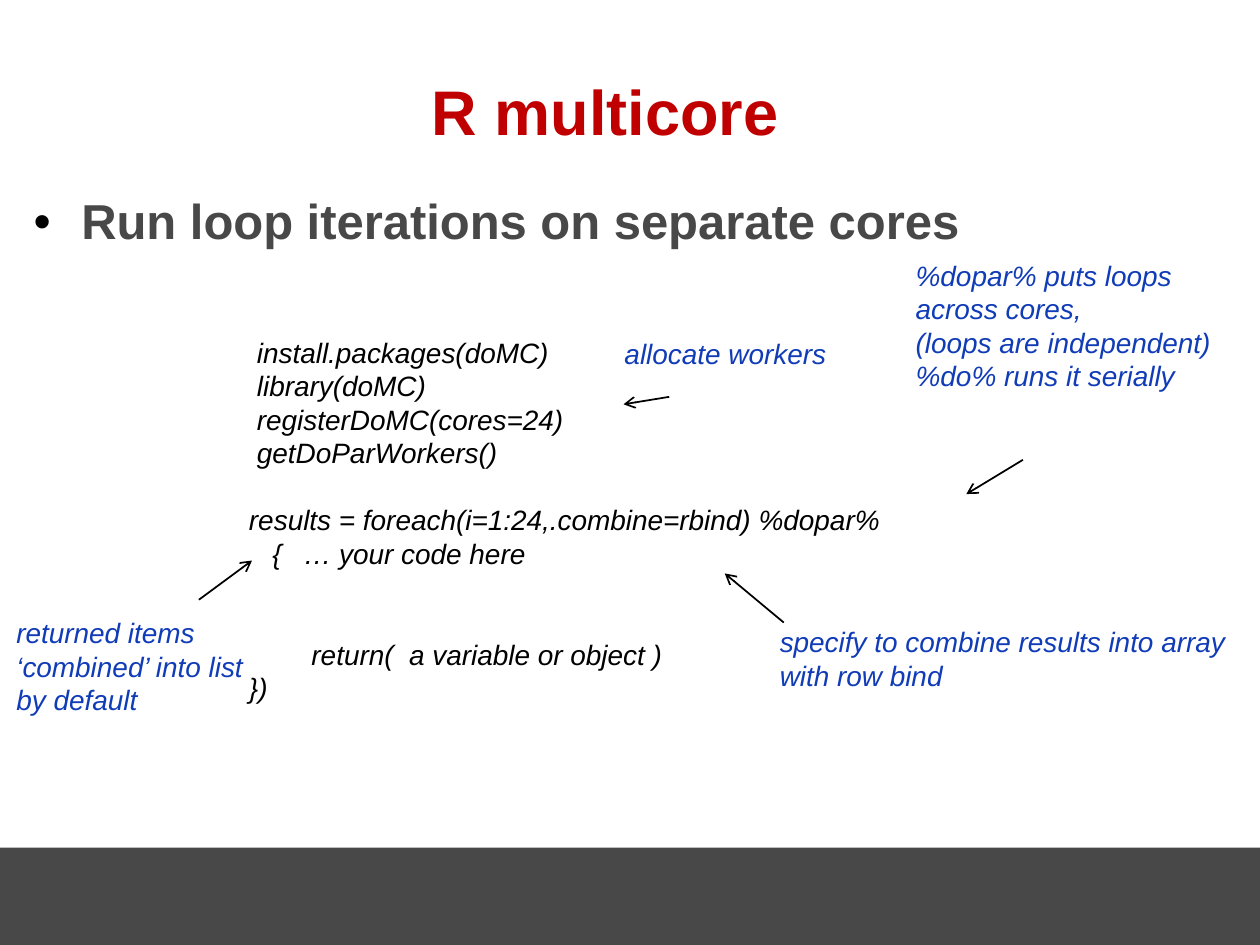
from pptx import Presentation
from pptx.dml.color import RGBColor
from pptx.enum.shapes import MSO_CONNECTOR, MSO_SHAPE
from pptx.enum.text import MSO_ANCHOR, PP_ALIGN
from pptx.oxml.ns import qn
from pptx.util import Cm, Pt
from lxml.etree import SubElement

RED, GREY, BLUE, BLACK = "C00000", "484848", "113CB7", "000000"
LINE_HEIGHT = 19.2  # points, for 16 point text


def color(value):
    return RGBColor.from_string(value)


def add_text(slide, place, lines, size, ink, bold=False, italic=False, spacing=None):
    """Add a text box with one paragraph per line and return its frame."""
    box = slide.shapes.add_textbox(*map(Cm, place))
    frame = box.text_frame
    frame.word_wrap = True
    for number, line in enumerate(lines):
        para = frame.add_paragraph() if number else frame.paragraphs[0]
        para.text = line
        para.line_spacing = spacing
        for span in para.runs:
            span.font.name = "Arial"
            span.font.size = Pt(size)
            span.font.bold = bold
            span.font.italic = italic
            span.font.color.rgb = color(ink)
    return frame


def add_small_text(slide, place, lines, ink):
    return add_text(slide, place, lines, 16, ink, italic=True,
                    spacing=Pt(LINE_HEIGHT))


def set_indent(para, left, first=0):
    properties = para._p.get_or_add_pPr()
    properties.set("marL", str(Cm(left)))
    properties.set("indent", str(Cm(first)))
    return properties


def add_bullet(para):
    properties = set_indent(para, 0.96, -0.96)
    tint = SubElement(properties, qn("a:buClr"))
    SubElement(tint, qn("a:srgbClr"), val=BLACK)
    SubElement(properties, qn("a:buFont"), typeface="Arial")
    SubElement(properties, qn("a:buChar"), char="•")


def add_code(slide):
    # Each line: text, left indent, first-line offset, empty lines above
    code = [
        ("install.packages(doMC)", 1.27, 0, 0),
        ("library(doMC)", 1.27, 0, 0),
        ("registerDoMC(cores=24)", 1.27, 0, 0),
        ("getDoParWorkers()", 1.27, 0, 0),
        ("results = foreach(i=1:24,.combine=rbind) %dopar%", 1.11, 0, 1),
        ("{\t… your code here", 2.21, -0.63, 0),
        ("return(  a variable or object )", 2.37, 0, 2),
        ("})", 1.11, 0, 0),
    ]
    frame = add_small_text(slide, (3.66, 6.63, 16.1, 9.5),
                           [line[0] for line in code], BLACK)
    for para, (_, left, first, gap) in zip(frame.paragraphs, code):
        set_indent(para, left, first)
        para.space_before = Pt(gap * LINE_HEIGHT)


def add_arrow(slide, ends):
    arrow = slide.shapes.add_connector(MSO_CONNECTOR.STRAIGHT, *map(Cm, ends))
    arrow.line.color.rgb = color(BLACK)
    arrow.line.width = Pt(1)
    SubElement(arrow.line._get_or_add_ln(), qn("a:tailEnd"), type="arrow")
    SubElement(arrow._element.spPr, qn("a:effectLst"))


def add_footer(slide):
    band = slide.shapes.add_shape(MSO_SHAPE.RECTANGLE, Cm(0), Cm(17.09),
                                  Cm(25.4), Cm(1.96))
    band.shadow.inherit = False
    band.fill.solid()
    band.fill.fore_color.rgb = color(GREY)
    band.line.fill.background()


def main():
    deck = Presentation()
    deck.slide_width, deck.slide_height = Cm(25.4), Cm(19.05)
    slide = deck.slides.add_slide(deck.slide_layouts[6])
    add_footer(slide)

    # Heading and main point
    title = add_text(slide, (0.43, 0.84, 23.54, 2.9), ["R multicore"],
                     36, RED, bold=True, spacing=0.95)
    title.vertical_anchor = MSO_ANCHOR.MIDDLE
    title.paragraphs[0].alignment = PP_ALIGN.CENTER
    point = add_text(slide, (0.43, 3.81, 24.56, 1.9),
                     ["Run loop iterations on separate cores"],
                     28, GREY, bold=True, spacing=0.95)
    add_bullet(point.paragraphs[0])

    # Code with its explanations
    add_code(slide)
    notes = [
        ((12.34, 6.65, 5.16, 1.02), ["allocate workers"]),
        ((0.08, 12.29, 6.05, 2.57),
         ["returned items ‘combined’ into list", "by default"]),
        ((18.21, 5.08, 6.78, 4.19),
         ["%dopar% puts loops across cores,", "(loops are independent)",
          "%do% runs it serially"]),
        ((15.47, 12.47, 9.5, 1.8),
         ["specify to combine results into array with row bind"]),
    ]
    for place, lines in notes:
        add_small_text(slide, place, lines, BLUE)

    # Arrows from explanations to code
    for ends in [(4.01, 12.09, 5.08, 11.3), (13.49, 8, 12.57, 8.15),
                 (20.62, 9.27, 19.48, 9.96), (15.8, 12.55, 14.61, 11.56)]:
        add_arrow(slide, ends)

    deck.save("out.pptx")


if __name__ == "__main__":
    main()
